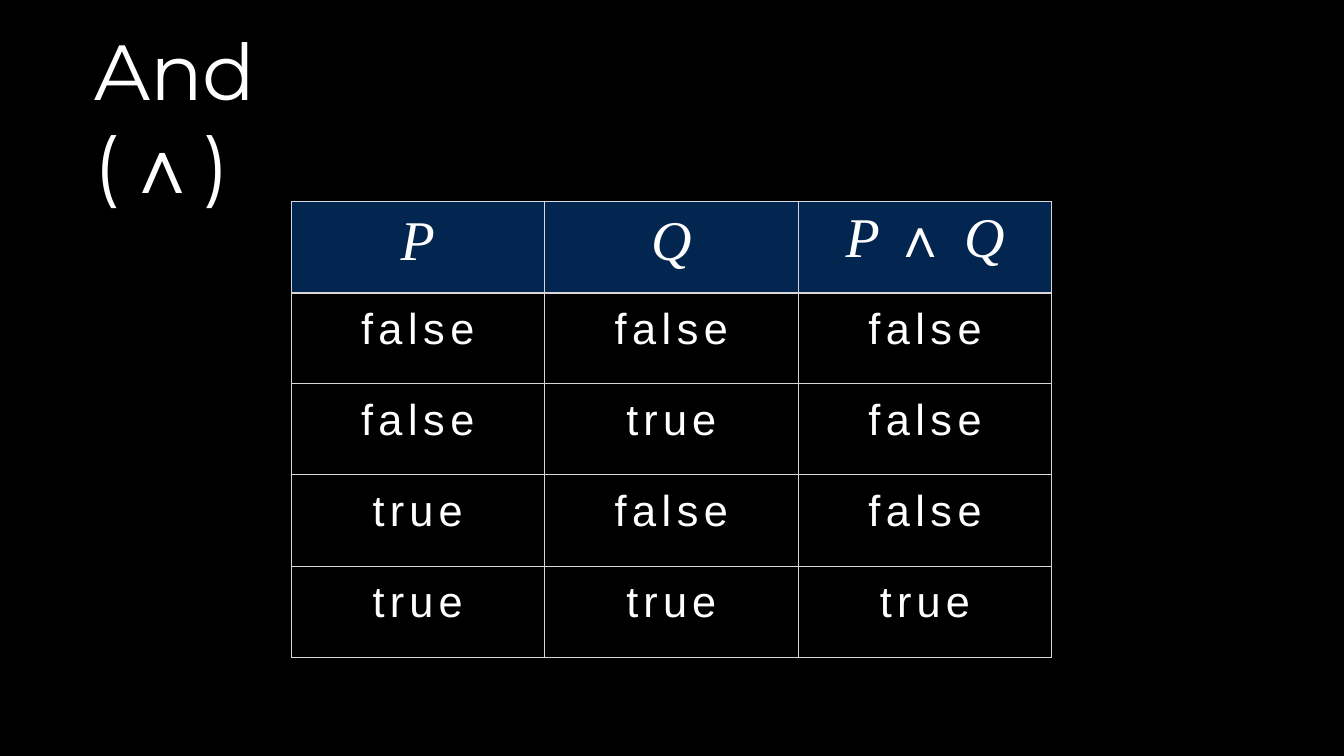
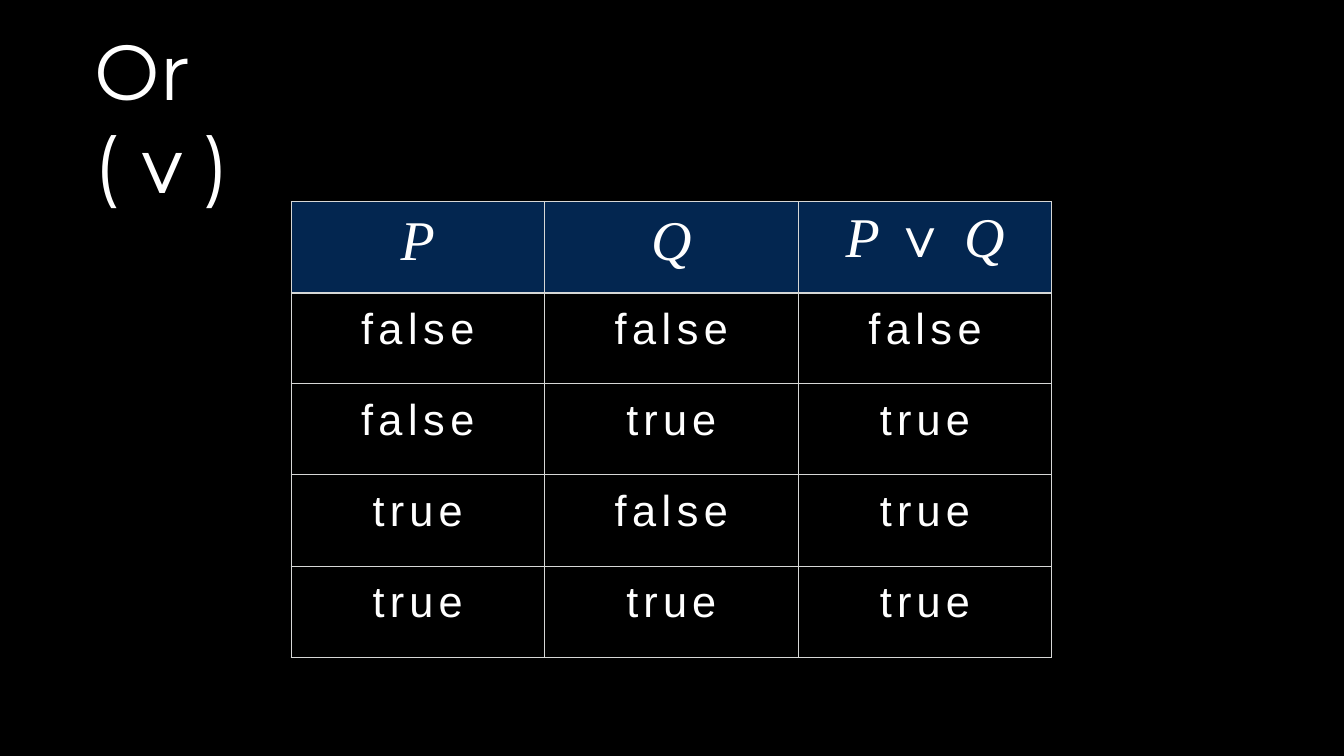
"""Build two truth table slides for the logical operators And and Or."""
from lxml.etree import SubElement
from pptx import Presentation
from pptx.dml.color import RGBColor
from pptx.enum.text import MSO_ANCHOR as Anchor, PP_ALIGN as Align
from pptx.oxml.ns import qn
from pptx.util import Inches, Pt

COLORS = {"page": "000000", "header": "032650", "text": "FFFFFF", "border": "D6D7D6"}
TITLE_FONT, VARIABLE_FONT, BODY_FONT = "Montserrat", "Times New Roman", "Arial"
TITLE_SIZE, HEADER_SIZE, VALUE_SIZE = 92, 66, 51
TITLE_LEFT, TITLE_TOP, TITLE_HEIGHT = 1.55, 0.34, 1.57
TABLE_LEFT, TABLE_TOP, COLUMN_WIDTH, ROW_HEIGHT = 4.76, 3.3, 4.15, 1.49
THIN, THICK = 1, 2.25
LETTER_SPACING = {"false": 6.5, "true": 6.1}

INPUTS = [("false", "false"), ("false", "true"), ("true", "false"), ("true", "true")]
OPERATORS = [
    {"name": "And", "symbol": "∧", "width": 4.98, "spacing": -0.8,
     "results": ["false", "false", "false", "true"]},
    {"name": "Or", "symbol": "∨", "width": 3.93, "spacing": -0.5,
     "results": ["false", "true", "true", "true"]},
]


def color(key):
    return RGBColor.from_string(COLORS[key])


def add_span(para, text, size, font, spacing=0.0, italic=False):
    span = para.add_run()
    span.text = text
    span.font.size = Pt(size)
    span.font.name = font
    span.font.italic = italic
    span.font.color.rgb = color("text")
    span.font._element.set("spc", str(round(spacing * 100)))


def set_margins(target, top):
    target.margin_left = target.margin_right = target.margin_bottom = 0
    target.margin_top = Inches(top)


def add_title(page, operator):
    box = page.shapes.add_textbox(Inches(TITLE_LEFT), Inches(TITLE_TOP),
                                  Inches(operator["width"]), Inches(TITLE_HEIGHT))
    frame = box.text_frame
    frame.word_wrap = True
    set_margins(frame, 0.02)
    para = frame.paragraphs[0]
    para.space_before = Pt(1.4)
    add_span(para, operator["name"] + " ", TITLE_SIZE, TITLE_FONT, operator["spacing"])
    for text, font in (("(", TITLE_FONT), (operator["symbol"], BODY_FONT), (")", TITLE_FONT)):
        add_span(para, text, TITLE_SIZE, font, 3.2)


def style_cell(cell, fill, top_width, bottom_width):
    properties = cell._tc.get_or_add_tcPr()
    for side, width in (("L", THIN), ("R", THIN), ("T", top_width), ("B", bottom_width)):
        line = SubElement(properties, qn(f"a:ln{side}"), w=str(Pt(width)))
        solid = SubElement(line, qn("a:solidFill"))
        SubElement(solid, qn("a:srgbClr"), val=COLORS["border"])
    cell.fill.solid()
    cell.fill.fore_color.rgb = color(fill)
    cell.vertical_anchor = Anchor.TOP


def start_cell(cell, top, space_before):
    set_margins(cell, top)
    para = cell.text_frame.paragraphs[0]
    para.alignment = Align.CENTER
    para.space_before = Pt(space_before)
    return para


def fill_header(table, symbol):
    for column, letter in enumerate("PQ"):
        para = start_cell(table.cell(0, column), 0.14, 9.8)
        add_span(para, letter, HEADER_SIZE, VARIABLE_FONT, italic=True)
    para = start_cell(table.cell(0, 2), 0.09, 6.5)
    add_span(para, "P ", HEADER_SIZE, VARIABLE_FONT, -0.1, True)
    add_span(para, symbol + " ", HEADER_SIZE, BODY_FONT, -0.1)
    add_span(para, "Q", HEADER_SIZE, VARIABLE_FONT, -0.1, True)


def add_truth_table(page, operator):
    rows = [(*pair, result) for pair, result in zip(INPUTS, operator["results"])]
    row_count, column_count = len(rows) + 1, len(rows[0])
    table = page.shapes.add_table(
        row_count, column_count, Inches(TABLE_LEFT), Inches(TABLE_TOP),
        Inches(COLUMN_WIDTH * column_count), Inches(ROW_HEIGHT * row_count)).table
    table.first_row = table.horz_banding = False
    for column in table.columns:
        column.width = Inches(COLUMN_WIDTH)
    for index, row in enumerate(table.rows):
        row.height = Inches(ROW_HEIGHT)
        for cell in row.cells:
            style_cell(cell, "page" if index else "header",
                       THICK if index == 1 else THIN, THIN if index else THICK)
    fill_header(table, operator["symbol"])
    for index, values in enumerate(rows, start=1):
        for column, value in enumerate(values):
            para = start_cell(table.cell(index, column), 0.21, 14.9)
            add_span(para, value, VALUE_SIZE, BODY_FONT, LETTER_SPACING[value])


def main():
    deck = Presentation()
    deck.slide_width, deck.slide_height = Inches(21.99), Inches(12.37)
    background = deck.slide_master.background.fill
    background.solid()
    background.fore_color.rgb = color("page")
    for operator in OPERATORS:
        page = deck.slides.add_slide(deck.slide_layouts[6])
        add_title(page, operator)
        add_truth_table(page, operator)
    deck.save("out.pptx")


if __name__ == "__main__":
    main()
